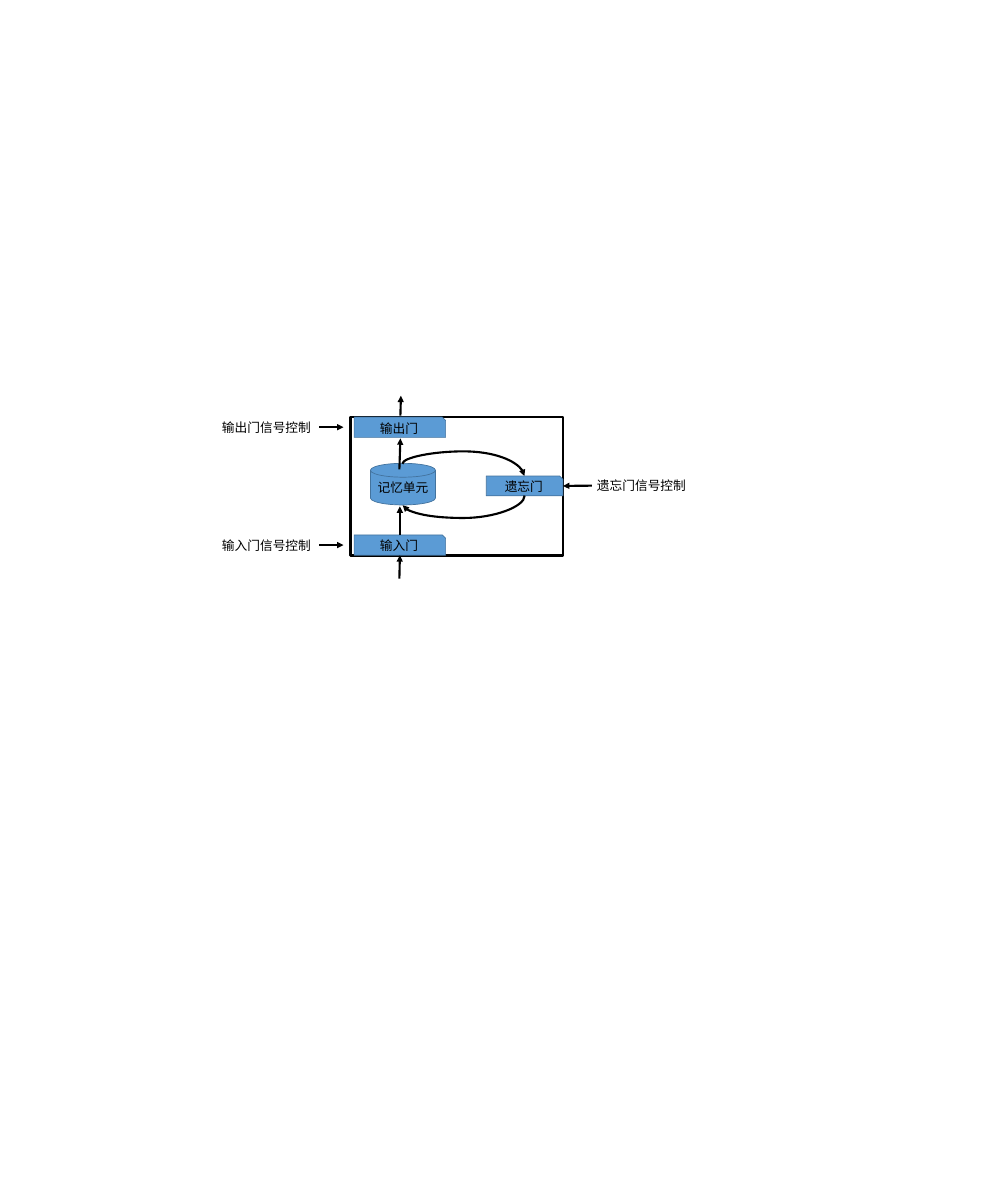
from lxml import etree
from pptx import Presentation
from pptx import util as u
from pptx.dml.color import RGBColor
from pptx.enum import shapes, text
from pptx.oxml.ns import qn

BLACK, WHITE, BLUE, DARK_BLUE = "000000", "FFFFFF", "5B9BD5", "43739E"
GATE = shapes.MSO_SHAPE.SNIP_1_RECTANGLE
TOP, LEFT, BOTTOM, RIGHT = range(4)


def color(value):
    return RGBColor.from_string(value)


def write(shape, words, alignment):
    paragraph = shape.text_frame.paragraphs[0]
    paragraph.text = words
    paragraph.alignment = alignment
    paragraph.font.name = "Calibri"
    paragraph.font.size = u.Pt(18)
    paragraph.font.color.rgb = color(BLACK)


def add_label(slide, words, left, top):
    label = slide.shapes.add_textbox(*map(u.Inches, (left, top, 2.16, 0.4)))
    label.text_frame.word_wrap = True
    label.text_frame.auto_size = text.MSO_AUTO_SIZE.SHAPE_TO_FIT_TEXT
    write(label, words, text.PP_ALIGN.LEFT)
    return label


def add_block(slide, kind, box, fill=BLUE, line=DARK_BLUE, line_width=1, words=None):
    block = slide.shapes.add_shape(kind, *map(u.Inches, box))
    block.shadow.inherit = False
    block.fill.solid()
    block.fill.fore_color.rgb = color(fill)
    block.line.color.rgb = color(line)
    block.line.width = u.Pt(line_width)
    if words:
        block.text_frame.vertical_anchor = text.MSO_ANCHOR.MIDDLE
        write(block, words, text.PP_ALIGN.CENTER)
    return block


def add_arrow(slide, start, end, kind=shapes.MSO_CONNECTOR.STRAIGHT):
    arrow = slide.shapes.add_connector(kind, *map(u.Inches, start + end))
    arrow.line.color.rgb = color(BLACK)
    arrow.line.width = u.Pt(3)
    etree.SubElement(arrow.line._get_or_add_ln(), qn("a:tailEnd"), type="triangle")
    etree.SubElement(arrow._element.spPr, qn("a:effectLst"))
    return arrow


def add_curve(slide, start, end, rotation, bend):
    """Add a curved arrow; start and end are its corners before rotation in degrees."""
    curve = add_arrow(slide, start, end, shapes.MSO_CONNECTOR.CURVE)
    properties = curve._element.spPr
    properties.find(qn("a:xfrm")).set("rot", str(rotation * 60000))
    geometry = properties.find(qn("a:prstGeom"))
    guides = geometry.find(qn("a:avLst"))
    if guides is None:
        guides = etree.SubElement(geometry, qn("a:avLst"))
    etree.SubElement(guides, qn("a:gd"), name="adj1", fmla=f"val {round(bend * 100000)}")


def main():
    presentation = Presentation()
    presentation.slide_width = u.Inches(19.7)
    presentation.slide_height = u.Inches(23.7)
    slide = presentation.slides.add_slide(presentation.slide_layouts[6])

    output_top, input_top = 8.21, 10.53
    add_label(slide, "输出门信号控制", 4.27, output_top)
    add_label(slide, "输入门信号控制", 4.27, input_top)

    add_block(slide, shapes.MSO_SHAPE.RECTANGLE, (6.89, output_top, 4.19, 2.72),
              WHITE, BLACK, 4)
    add_block(slide, GATE, (6.97, output_top, 1.8, 0.4), words="输出门")
    add_block(slide, shapes.MSO_SHAPE.FLOWCHART_MAGNETIC_DISK, (7.29, 9.12, 1.28, 0.82),
              words="记忆单元")
    input_gate = add_block(slide, GATE, (6.97, input_top, 1.8, 0.4), words="输入门")
    forget_gate = add_block(slide, GATE, (9.57, 9.37, 1.51, 0.39), words="遗忘门")

    for gate_top in (input_top, output_top):
        add_arrow(slide, (6.28, gate_top + 0.2), (6.76, gate_top + 0.2))
    add_arrow(slide, (7.86, 11.39), (7.86, 10.93)).end_connect(input_gate, BOTTOM)
    add_arrow(slide, (7.88, 10.53), (7.87, 9.97)).begin_connect(input_gate, TOP)
    add_arrow(slide, (7.86, 9.24), (7.88, 8.63))
    add_arrow(slide, (7.88, 8.18), (7.89, 7.79))

    add_curve(slide, (9.24, 8.05), (9, 10.45), 270, -1.02)
    add_curve(slide, (9.03, 8.65), (9.22, 11.05), 90, 2.32)

    forget_label = add_label(slide, "遗忘门信号控制", 11.65, 9.36)
    forget_arrow = add_arrow(slide, (11.65, 9.56), (11.08, 9.56))
    forget_arrow.begin_connect(forget_label, LEFT)
    forget_arrow.end_connect(forget_gate, RIGHT)

    presentation.save("out.pptx")


if __name__ == "__main__":
    main()
